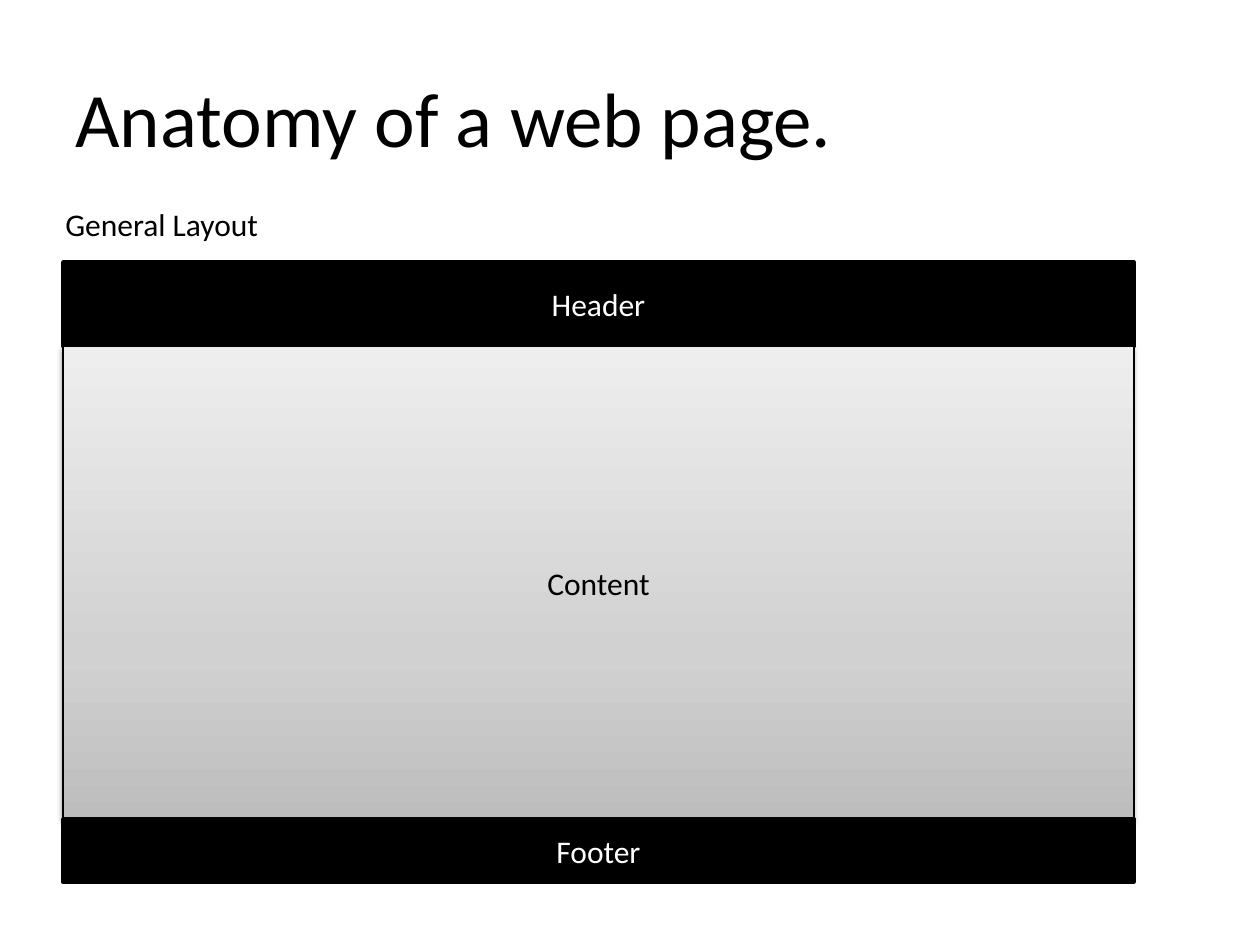
from lxml import etree
from pptx import Presentation
from pptx import util as u
from pptx.dml.color import RGBColor
from pptx.enum import shapes, text
from pptx.oxml import ns

COLORS = {"ink": "000000", "paper": "FFFFFF", "low": "BDBDBD", "middle": "D1D1D1", "high": "EEEEEE"}


class Page:
    font = "Calibri"

    def __init__(self, deck):
        self.slide = deck.slides.add_slide(deck.slide_layouts[6])

    def color(self, name):
        return RGBColor.from_string(COLORS[name])

    def add_words(self, shape, words, size, color, align, anchor, wrap=True):
        frame = shape.text_frame
        frame.word_wrap = wrap
        frame.vertical_anchor = anchor
        para = frame.paragraphs[0]
        para.alignment = align
        span = para.add_run()
        span.text = words
        span.font.name = self.font
        span.font.size = u.Pt(size)
        span.font.color.rgb = self.color(color)

    def label(self, words, place, size, anchor, wrap=True):
        box = self.slide.shapes.add_textbox(*map(u.Inches, place))
        self.add_words(box, words, size, "ink", text.PP_ALIGN.LEFT, anchor, wrap)
        if not wrap:
            box.text_frame.auto_size = text.MSO_AUTO_SIZE.SHAPE_TO_FIT_TEXT

    def band(self, words, place, color, line_width):
        box = self.slide.shapes.add_shape(shapes.MSO_SHAPE.RECTANGLE, *map(u.Inches, place))
        box.shadow.inherit = False
        box.fill.solid()
        box.fill.fore_color.rgb = self.color("ink")
        box.line.color.rgb = self.color("ink")
        box.line.width = u.Pt(line_width)
        self.add_words(box, words, 18, color, text.PP_ALIGN.CENTER, text.MSO_ANCHOR.MIDDLE)
        return box

    def add_color(self, parent, name):
        return etree.SubElement(parent, ns.qn("a:srgbClr"), val=COLORS[name])

    def shade(self, box, stops):
        box.fill.gradient()
        box.fill.gradient_angle = 90
        stop_list = box.element.spPr.find(ns.qn("a:gradFill")).find(ns.qn("a:gsLst"))
        for stop in list(stop_list):
            stop_list.remove(stop)
        for percent, name in stops:
            stop = etree.SubElement(stop_list, ns.qn("a:gs"), pos=str(percent * 1000))
            self.add_color(stop, name)

    def cast_shadow(self, box, blur, distance, opacity):
        effects = box.element.spPr.find(ns.qn("a:effectLst"))
        shadow = etree.SubElement(
            effects, ns.qn("a:outerShdw"), blurRad=str(int(u.Pt(blur))),
            dist=str(int(u.Pt(distance))), dir="5400000", rotWithShape="0")
        tint = self.add_color(shadow, "ink")
        etree.SubElement(tint, ns.qn("a:alpha"), val=str(opacity * 1000))


deck = Presentation()
deck.slide_width, deck.slide_height = u.Inches(10), u.Inches(7.5)
page = Page(deck)

page.label("Anatomy of a web page.", (0.5, 0.3, 9, 1.25), 44, text.MSO_ANCHOR.MIDDLE)

top = 2.08
for words, height, color, line_width in (
    ("Header", 0.67, "paper", 2),
    ("Content", 3.75, "ink", 0.75),
    ("Footer", 0.5, "paper", 2),
):
    band = page.band(words, (0.5, top, 8.5, height), color, line_width)
    if words == "Content":
        page.shade(band, ((0, "low"), (35, "middle"), (100, "high")))
        page.cast_shadow(band, 3.1, 1.6, 38)
    top += height

page.label("General Layout", (0.42, 1.58, 1.75, 0.4), 18, text.MSO_ANCHOR.TOP, wrap=False)

deck.save("out.pptx")
